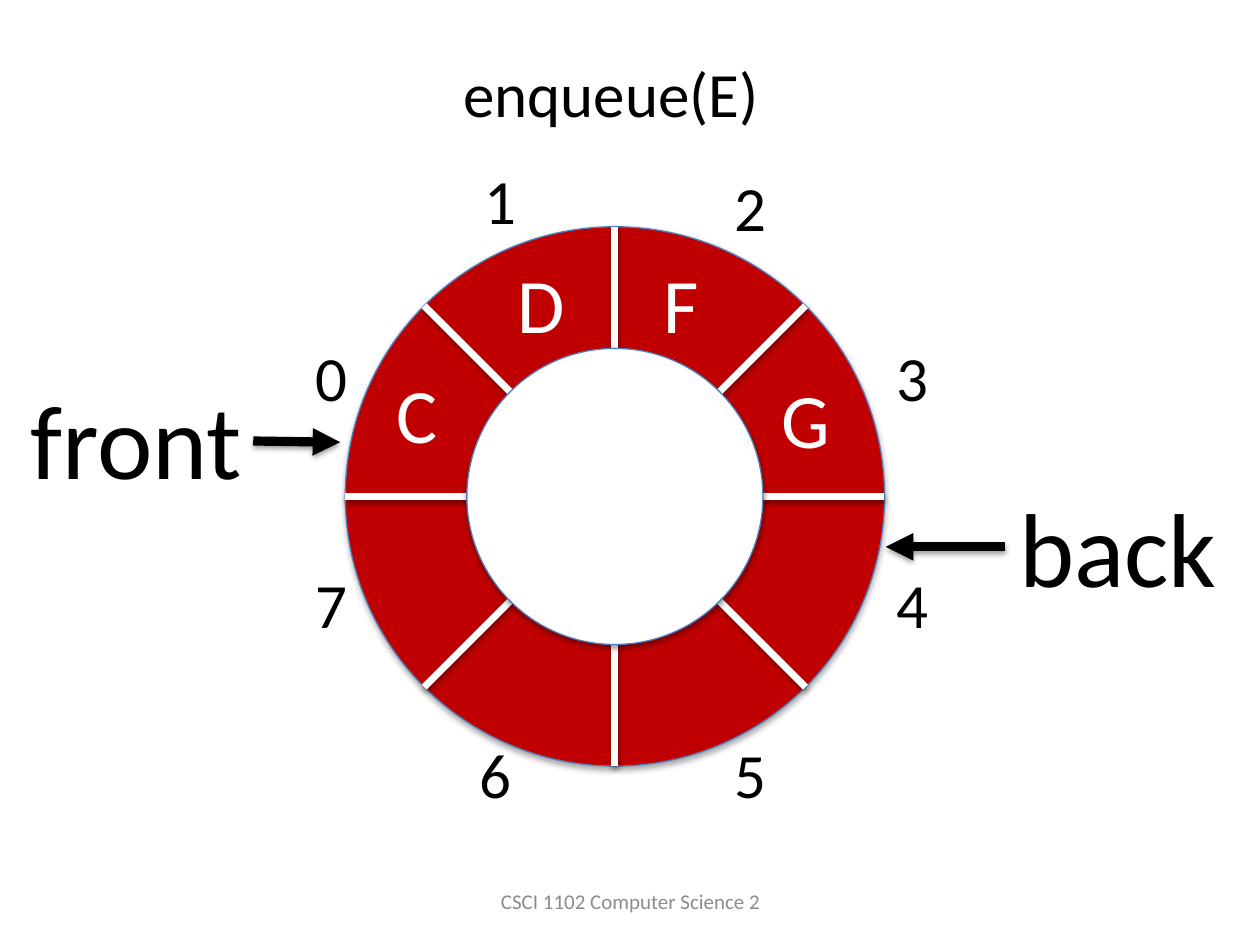
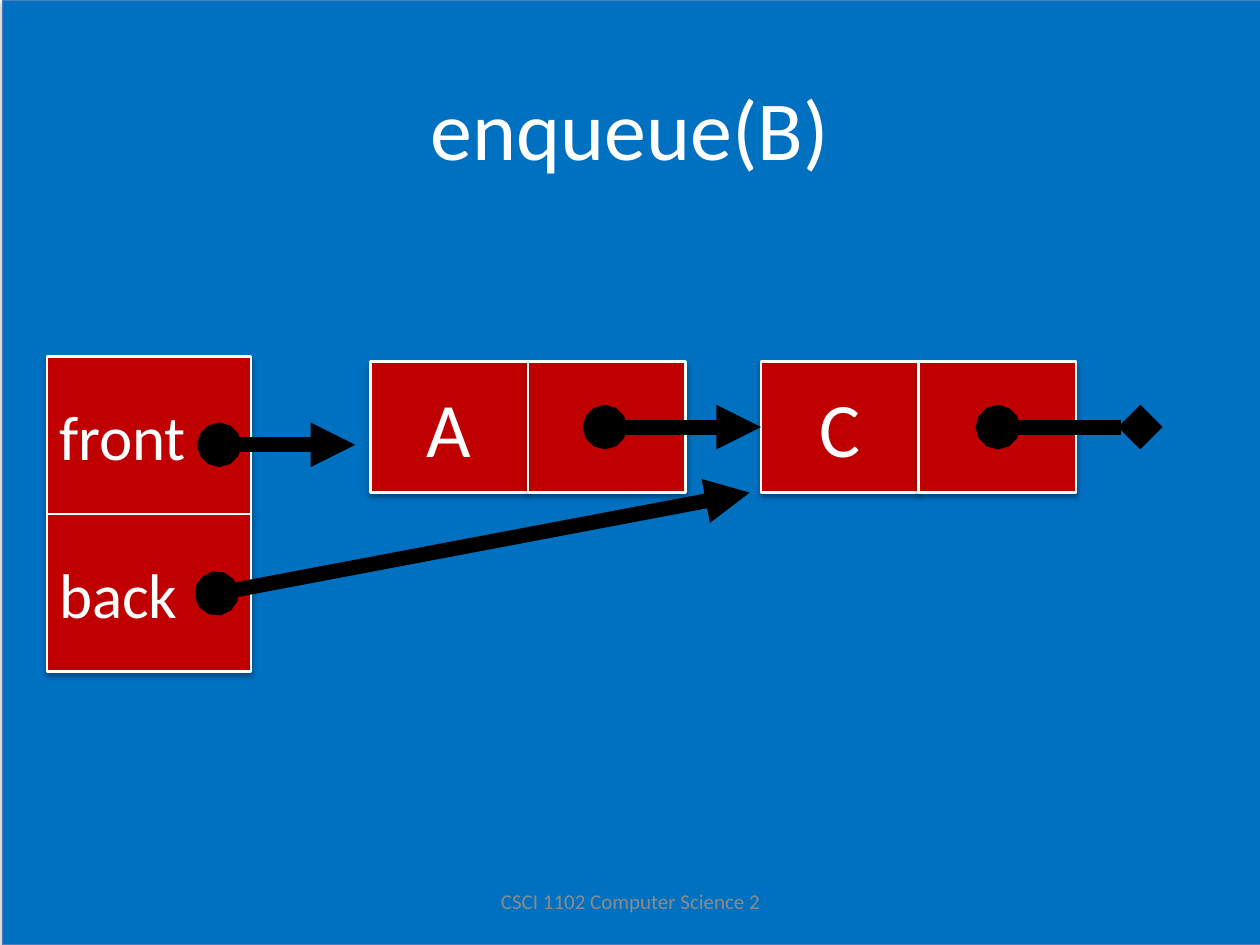
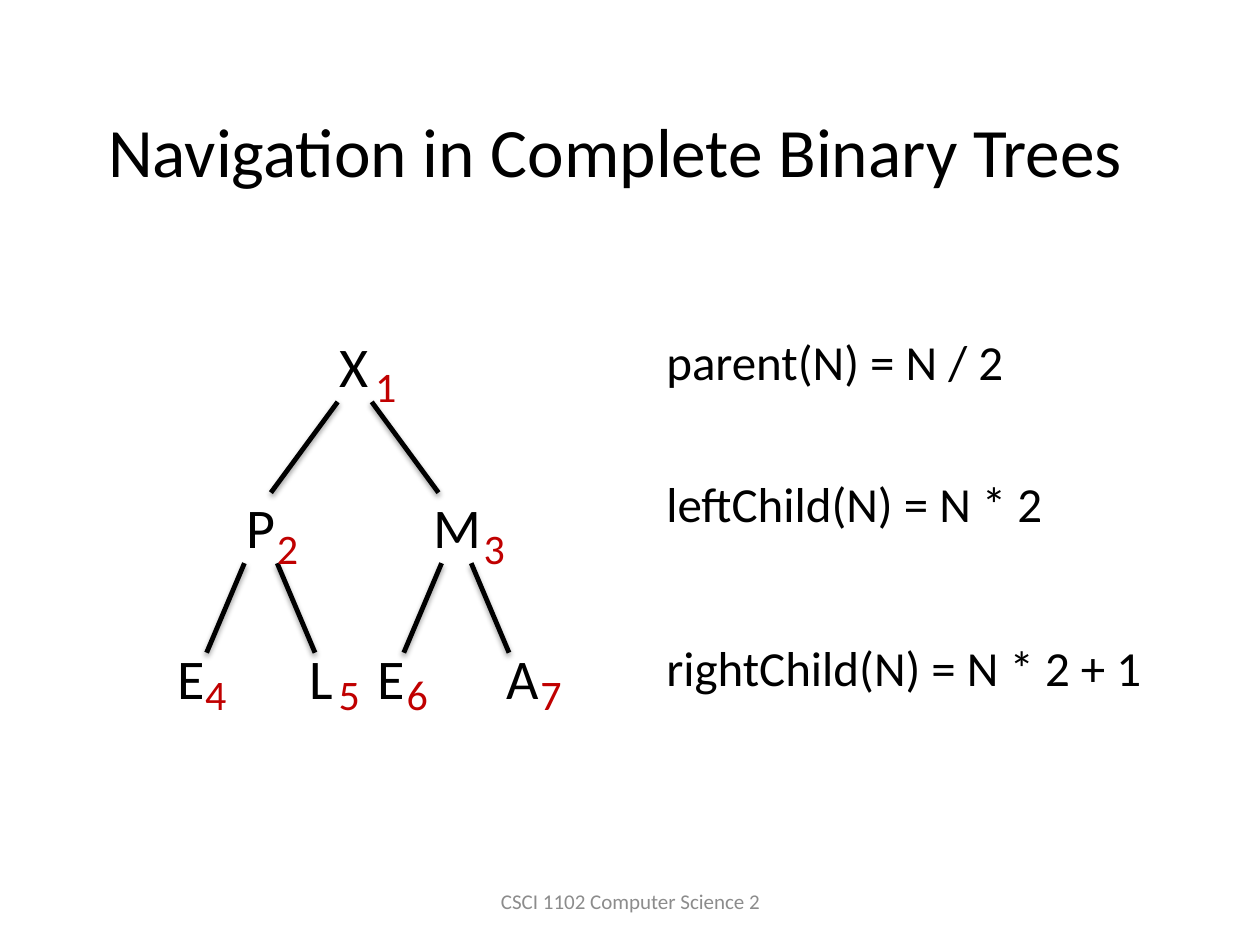
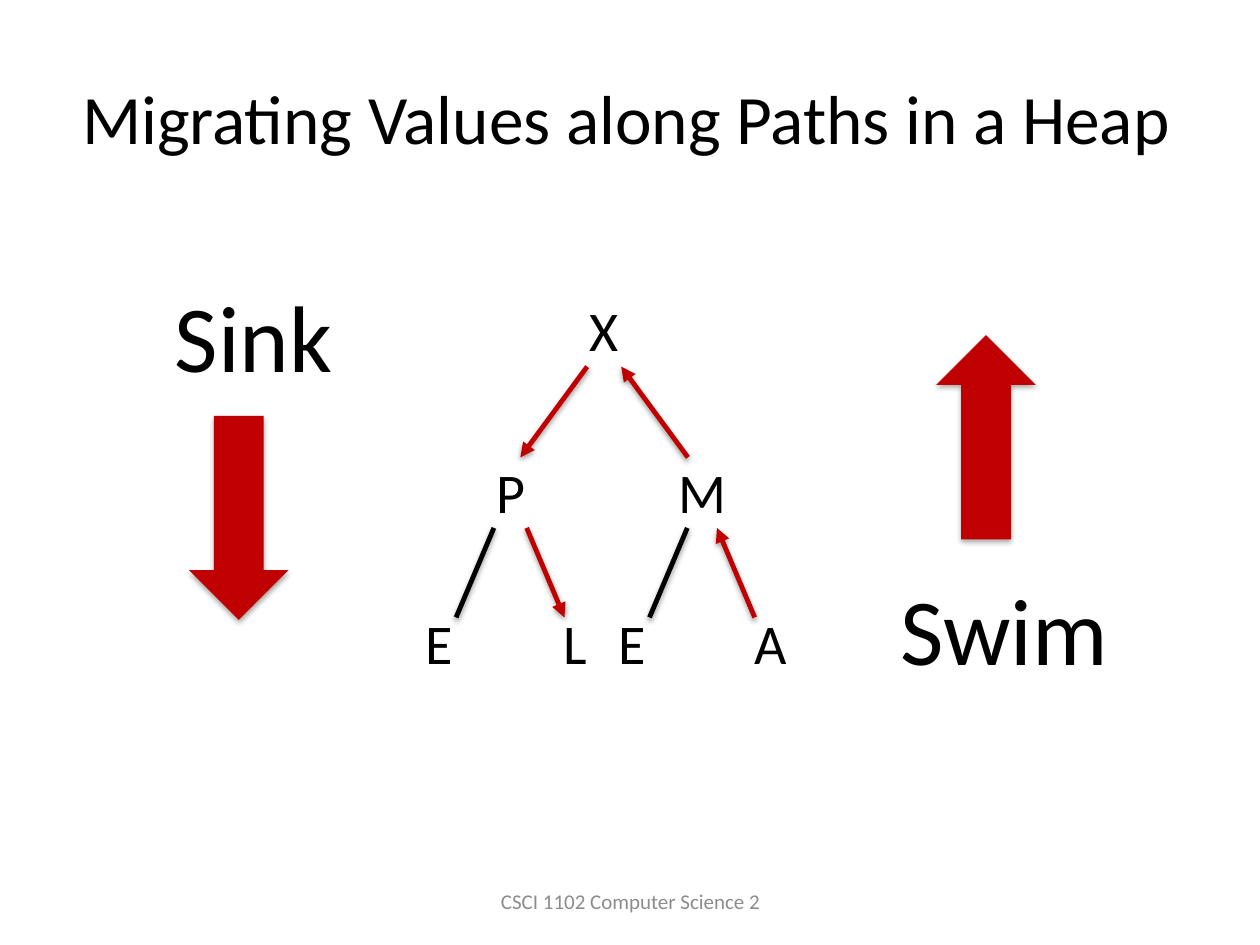
"""Build four slides on ring-buffer queues, linked queues and binary heaps."""
import math

from lxml import etree
from pptx import Presentation
from pptx import util as u
from pptx.dml.color import RGBColor
from pptx.enum import shapes, text
from pptx.oxml.ns import qn

BLACK, WHITE, RED, BLUE = "000000", "FFFFFF", "C00000", "0070C0"
OUTLINE, GRAY = "4B7EBC", "8C8C8C"
CENTER, LEFT = text.PP_ALIGN.CENTER, text.PP_ALIGN.LEFT
KIND = shapes.MSO_SHAPE
TITLE = {"word_wrap": True, "vertical_anchor": text.MSO_ANCHOR.MIDDLE}
LABEL = {"word_wrap": False, "auto_size": text.MSO_AUTO_SIZE.SHAPE_TO_FIT_TEXT}
color_of = RGBColor.from_string

presentation = Presentation()
presentation.slide_width, presentation.slide_height = u.Inches(10), u.Inches(7.5)
cell = presentation.slide_width / 100


def put(slide, area, words="", size=36, color=BLACK, align=LEFT, frame_format=LABEL,
        kind=None, fill=RED, line=None, line_width=0.75):
    """Place a text box, or a preset shape when a kind is given, by grid cells."""
    box = [round(value * cell) for value in area]
    if kind is None:
        shape = slide.shapes.add_textbox(*box)
    else:
        shape = slide.shapes.add_shape(kind, *box)
        shape.fill.solid()
        shape.fill.fore_color.rgb = color_of(fill)
        if line:
            shape.line.color.rgb = color_of(line)
            shape.line.width = u.Pt(line_width)
        else:
            shape.line.fill.background()
    if words:
        for name, value in frame_format.items():
            setattr(shape.text_frame, name, value)
        paragraph = shape.text_frame.paragraphs[0]
        paragraph.text, paragraph.alignment = words, align
        for name, value in {"name": "Calibri", "size": u.Pt(size)}.items():
            setattr(paragraph.runs[0].font, name, value)
        paragraph.runs[0].font.color.rgb = color_of(color)


def link(slide, start, end, color=BLACK, width=2.75, head="", tail="", shadow=True):
    """Draw a straight connector between two grid points."""
    points = [round(value * cell) for value in (*start, *end)]
    connector = slide.shapes.add_connector(shapes.MSO_CONNECTOR.STRAIGHT, *points)
    connector.line.color.rgb = color_of(color)
    connector.line.width = u.Pt(width)
    properties = connector.element.spPr
    for tag, arrow in (("a:headEnd", head), ("a:tailEnd", tail)):
        if arrow:
            etree.SubElement(properties.find(qn("a:ln")), qn(tag), type=arrow)
    if not shadow:
        etree.SubElement(properties, qn("a:effectLst"))


ring_slide, list_slide, index_slide, heap_slide = slides = [
    presentation.slides.add_slide(presentation.slide_layouts[6]) for _ in range(4)]

put(list_slide, (0.2, 0, 100, 75), kind=KIND.RECTANGLE, fill=BLUE, line=OUTLINE)
for slide, area, words, size, color, align in (
        (list_slide, (5, 3.8, 90, 12.5), "enqueue(B)", 48, WHITE, CENTER),
        (index_slide, (7.6, 5.6, 84.9, 12.5), "Navigation in Complete Binary Trees",
         39.6, BLACK, LEFT),
        (heap_slide, (2.6, 3, 94.2, 12.5), "Migrating Values along Paths in a Heap",
         39.6, BLACK, CENTER)):
    put(slide, area, words, size, color, align, TITLE)
for slide in slides:
    put(slide, (34.2, 69.5, 31.7, 4), "CSCI 1102 Computer Science 2", 12, GRAY, CENTER, TITLE)

center_x, center_y, outer, inner = 48.8, 39.4, 21.4, 11.75
for radius, fill in ((outer, RED), (inner, WHITE)):
    put(ring_slide, (center_x - radius, center_y - radius, 2 * radius, 2 * radius),
        kind=KIND.OVAL, fill=fill, line=OUTLINE)
    if radius == outer:
        for spoke in range(4):
            across = outer * math.cos(spoke * math.pi / 4)
            down = outer * math.sin(spoke * math.pi / 4)
            link(ring_slide, (center_x + across, center_y + down),
                 (center_x - across, center_y - down), WHITE, 4)

slot_places = ((24.1, 26.4), (37.5, 12.3), (57.3, 12.9), (70.2, 26.4),
               (70.2, 44.4), (57.3, 57.9), (37.1, 57.9), (24.1, 44.4))
for slot, place in enumerate(slot_places):
    put(ring_slide, (*place, 4.6, 7.1), str(slot))
for letter, left, top, width in (("C", 30.5, 28.6, 5.3), ("D", 40.1, 19.9, 5.8),
                                 ("F", 51.7, 19.9, 4.9), ("G", 61, 29, 5.9)):
    put(ring_slide, (left, top, width, 8.4), letter, 44, WHITE)
put(ring_slide, (35.8, 3.8, 25.7, 7.1), "enqueue(E)")
for words, left, top, width, start, end in (
        ("front", 1.4, 29.2, 22.4, (20.1, 35), (27, 35.1)),
        ("back", 79.9, 37.8, 18.9, (79.8, 43.4), (70.3, 43.4))):
    put(ring_slide, (left, top, width, 11.8), words, 60, frame_format={"word_wrap": True})
    link(ring_slide, start, end, width=5.25, tail="triangle")

node_width, node_top, pointer_height = 12.5, 28.7, 12.5
for row, words in enumerate(("front", "back")):
    put(list_slide, (3.7, 28.3 + row * pointer_height, 16.2, pointer_height), words,
        36, WHITE, LEFT, TITLE, KIND.RECTANGLE, RED, WHITE, 1.25)
for left, letter in ((29.4, "A"), (60.4, "C")):
    for column, words in enumerate((letter, "")):
        put(list_slide, (left + column * node_width, node_top, node_width, 10.4), words,
            44, WHITE, CENTER, TITLE, KIND.RECTANGLE, RED, WHITE, 1.25)
for start, end, tail in (((17.4, 35.3), (28.2, 35.3), "triangle"),
                         ((79.2, 33.9), (90.5, 33.9), "diamond"),
                         ((48, 33.9), (60.4, 33.9), "triangle"),
                         ((17.2, 47.1), (59.5, 39.1), "triangle")):
    link(list_slide, start, end, width=8.5, head="oval", tail=tail, shadow=False)

letters, widths = "XPMELEA", (4.4, 4.3, 5.9, 4.2, 3.9, 4.2, 4.6)
levels = (0, 12.8, 12.8, 24.8, 24.8, 24.8, 24.8)
branches = ((0, 0.8, 3.5, 6.1, 5.3, 7.2), (1, 0.8, 3.4, 6.1, 3, 7.1), (2, 1.65, 4, 6.1, 3, 7.1))
trees = (
    (index_slide, 25.8, (26, 18.6, 33.4, 13.1, 23.6, 29, 39.2), [""] * 6),
    (heap_slide, 23, (45.8, 38.4, 52.9, 32.8, 43.7, 48.1, 58.9),
     ["tail", "head", "", "tail", "", "head"]))
for slide, top, lefts, arrows in trees:
    for letter, left, level, width in zip(letters, lefts, levels, widths):
        put(slide, (left, top + level, width, 6.4), letter, 32)
    for parent, near, far, drop, run, fall in branches:
        for side, (offset, direction) in enumerate(((near, -1), (far, 1))):
            arrow = arrows[2 * parent + side]
            x, y = lefts[parent] + offset, top + levels[parent] + drop
            link(slide, (x, y), (x + direction * run, y + fall), RED if arrow else BLACK,
                 **({arrow: "triangle"} if arrow else {}))

index_places = ((28.8, 28.1), (21, 41), (37.4, 41), (15.3, 52.6),
                (25.9, 52.6), (31.3, 52.6), (41.9, 52.6))
for index, place in enumerate(index_places, 1):
    put(index_slide, (*place, 3.7, 5), str(index), 24, RED, frame_format={**LABEL, "word_wrap": True})
for words, top, width in (("parent(N) = N / 2", 25.8, 29.1),
                          ("leftChild(N) = N * 2", 37.1, 32.3),
                          ("rightChild(N) = N * 2 + 1", 50.1, 40.2)):
    put(index_slide, (51.9, top, width, 5.7), words, 28)

for words, area, kind, arrow_left, arrow_top in (
        ("Sink", (12.9, 21.6, 14.6, 10.1), KIND.DOWN_ARROW, 15, 33),
        ("Swim", (70.5, 44.8, 18.6, 10.1), KIND.UP_ARROW, 74.3, 26.6)):
    put(heap_slide, area, words, 54)
    put(heap_slide, (arrow_left, arrow_top, 7.9, 16.2), kind=kind)

presentation.save("out.pptx")
